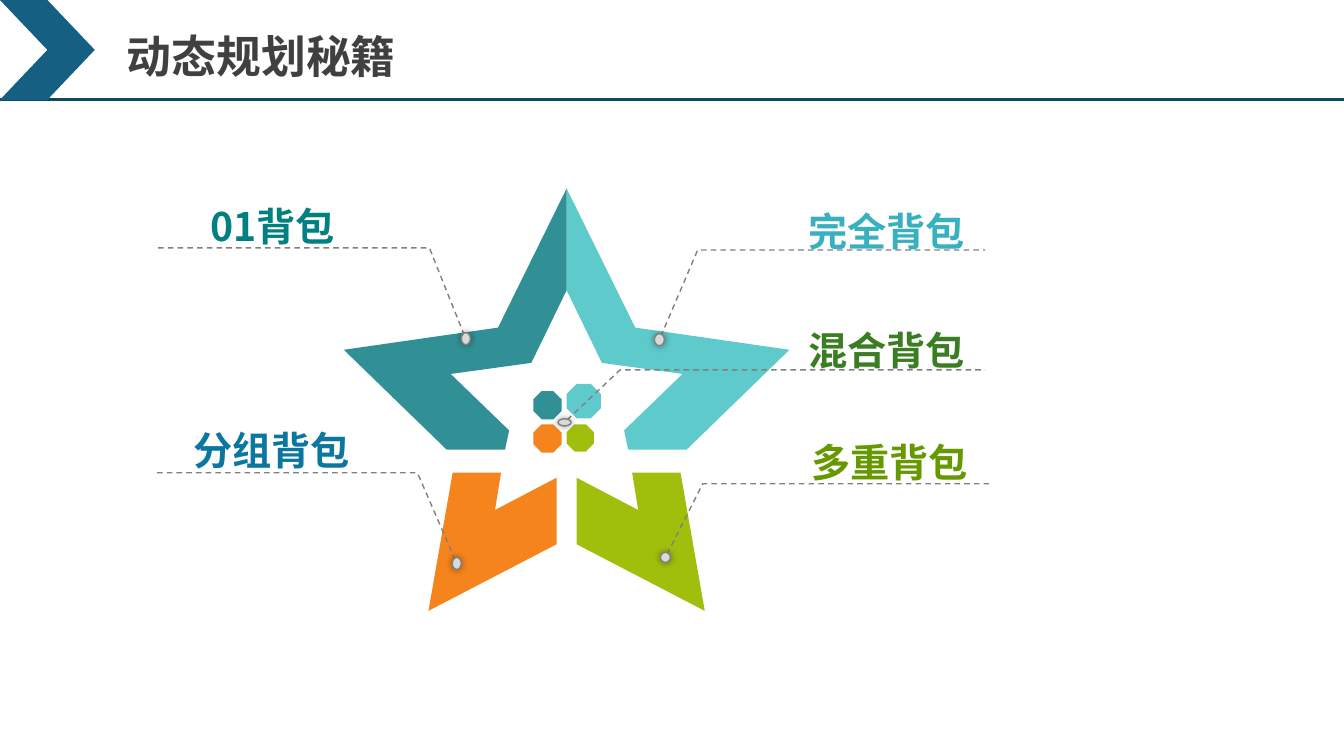
from lxml import etree
from pptx import Presentation
from pptx.dml.color import RGBColor
from pptx.enum.dml import MSO_LINE
from pptx.enum.shapes import MSO_CONNECTOR, MSO_SHAPE
from pptx.enum.text import MSO_AUTO_SIZE, PP_ALIGN
from pptx.oxml import parse_xml
from pptx.oxml.ns import qn
from pptx.util import Inches, Pt

CHEVRON, OCTAGON, OVAL = MSO_SHAPE.CHEVRON, MSO_SHAPE.OCTAGON, MSO_SHAPE.OVAL
STRAIGHT = MSO_CONNECTOR.STRAIGHT
DASH = MSO_LINE.DASH
JUSTIFY, LEFT = PP_ALIGN.JUSTIFY, PP_ALIGN.LEFT
GROW = MSO_AUTO_SIZE.SHAPE_TO_FIT_TEXT

COLS, ROWS = 133.3, 75  # grid of tenth-inch cells
AXIS = 56.2  # column of the star's mirror line
FONT = "Noto Sans CJK SC"
HUES = {
    "navy": "104862", "blue": "156082", "ink": "404040",
    "teal": "319095", "aqua": "5FCACB", "orange": "F5841C", "lime": "A0BF0D",
    "grey": "808080", "pale": "D9D9D9",
    "full": "38B1BF", "zero": "008080", "mixed": "3B7D23",
    "group": "0B76A0", "multi": "669900",
}
GLOW = (
    '<a:effectLst xmlns:a="http://schemas.openxmlformats.org/drawingml/2006/main">'
    '<a:outerShdw blurRad="63500" dist="0" dir="0" algn="ctr" rotWithShape="0">'
    '<a:srgbClr val="000000"><a:alpha val="40000"/></a:srgbClr>'
    "</a:outerShdw></a:effectLst>"
)


def hue(name):
    return RGBColor.from_string(HUES[name])


def cell(n):
    return Inches(n / 10)


class Board:
    def __init__(self, deck):
        self.shapes = deck.slides.add_slide(deck.slide_layouts[6]).shapes

    def paint(self, shape, fill=None, line=None, width=1):
        shape.shadow.inherit = False
        if fill:
            shape.fill.solid()
            shape.fill.fore_color.rgb = hue(fill)
        else:
            shape.fill.background()
        if line:
            shape.line.color.rgb = hue(line)
            shape.line.width = Pt(width)
        else:
            shape.line.fill.background()
        return shape

    def form(self, kind, box, fill, line=None):
        shape = self.shapes.add_shape(kind, *map(cell, box))
        return self.paint(shape, fill, line)

    def trace(self, spots, closed, **look):
        spots = [(cell(x), cell(y)) for x, y in spots]
        pen = self.shapes.build_freeform(*spots[0])
        pen.add_line_segments(spots[1:], close=closed)
        return self.paint(pen.convert_to_shape(), **look)

    def rule(self, start, end, color, width):
        line = self.shapes.add_connector(STRAIGHT, *map(cell, start + end))
        line.line.color.rgb = hue(color)
        line.line.width = Pt(width)
        etree.SubElement(line._element.spPr, qn("a:effectLst"))

    def text(self, words, box, color, size, align=LEFT, space=1.0):
        frame = self.shapes.add_textbox(*map(cell, box)).text_frame
        para = frame.paragraphs[0]
        run = para.add_run()
        run.text = words
        looks = {
            frame: {"word_wrap": True, "auto_size": GROW},
            para: {"alignment": align, "line_spacing": space},
            run.font: {"name": FONT, "size": Pt(size), "bold": True},
        }
        for part, look in looks.items():
            for key, value in look.items():
                setattr(part, key, value)
        run.font.color.rgb = hue(color)
        etree.SubElement(run.font._element, qn("a:ea"), typeface=FONT)

    def lead(self, spots, size):
        path = self.trace(spots, False, line="grey")
        path.line.dash_style = DASH
        etree.SubElement(path.line._ln, qn("a:headEnd"), type="oval")
        (x, y), (w, h) = spots[0], size
        dot = self.form(OVAL, (x - w / 2, y - h / 2, w, h), "pale", "grey")
        props = dot._element.spPr
        props.replace(props.find(qn("a:effectLst")), parse_xml(GLOW))


def flip(spots):
    return [(2 * AXIS - x, y) for x, y in spots]


def main():
    deck = Presentation()
    deck.slide_width, deck.slide_height = cell(COLS), cell(ROWS)
    board = Board(deck)

    # Header
    board.rule((0, 9.9), (COLS, 9.9), "navy", 2.25)
    board.form(CHEVRON, (0, 0, 9.4, 9.9), "blue")
    board.text("动态规划秘籍", (11.6, 2.4, 43.3, 6.4), "ink", 32)

    # Star: each left part has its mirror on the right
    leg = [(55.2, 47.4), (49.1, 50.6), (49.7, 46.9), (44.9, 46.9),
           (42.5, 60.6), (55.2, 54)]
    arm = [(49.4, 32.5), (34.1, 34.7), (44.3, 44.6), (50.1, 44.6), (50.5, 42.7),
           (44.7, 37.1), (52.7, 36), (56.2, 28.8), (56.2, 18.7)]
    for part, left, right in ((leg, "orange", "lime"), (arm, "teal", "aqua")):
        board.trace(flip(part), True, fill=right)
        board.trace(part, True, fill=left)

    # Core
    for x, y, size, color in (
        (52.9, 38.8, 2.8, "teal"), (56.2, 38.1, 3.4, "aqua"),
        (52.9, 42.1, 2.8, "orange"), (56.2, 42.1, 2.7, "lime"),
    ):
        board.form(OCTAGON, (x, y, size, size), color)

    # Labels
    for words, x, y, color in (
        ("完全背包", 79.2, 17.7, "full"), ("01背包", 19.9, 17.2, "zero"),
        ("混合背包", 79.2, 29.5, "mixed"), ("分组背包", 18.2, 39.5, "group"),
        ("多重背包", 79.5, 40.7, "multi"),
    ):
        board.text(words, (x, y, 25.1, 7.2), color, 28, JUSTIFY, 1.5)

    # Leaders: dot, bend, end column, dot size
    for dot, bend, end, size in (
        ((46.2, 33.6), (42.6, 24.6), 15.6, (0.9, 1.2)),
        ((65.4, 33.7), (69.2, 24.8), 97.7, (1, 1.2)),
        ((56, 41.9), (61.5, 36.7), 97.7, (1.3, 0.7)),
        ((45.3, 55.9), (41.4, 46.9), 15.5, (0.9, 1.2)),
        ((66, 55.3), (69.7, 48), 98.2, (1, 1)),
    ):
        board.lead([dot, bend, (end, bend[1])], size)

    deck.save("out.pptx")


if __name__ == "__main__":
    main()
